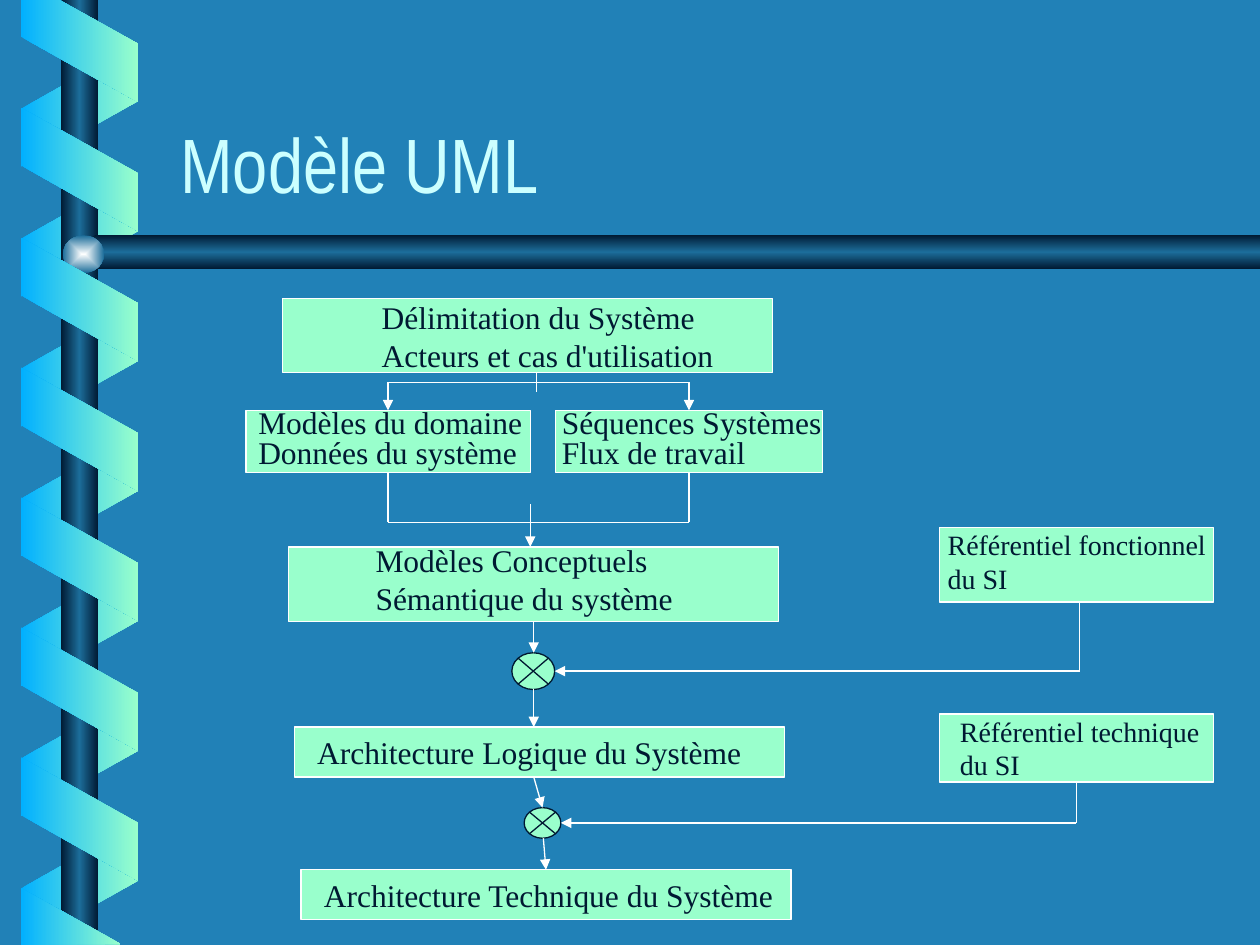
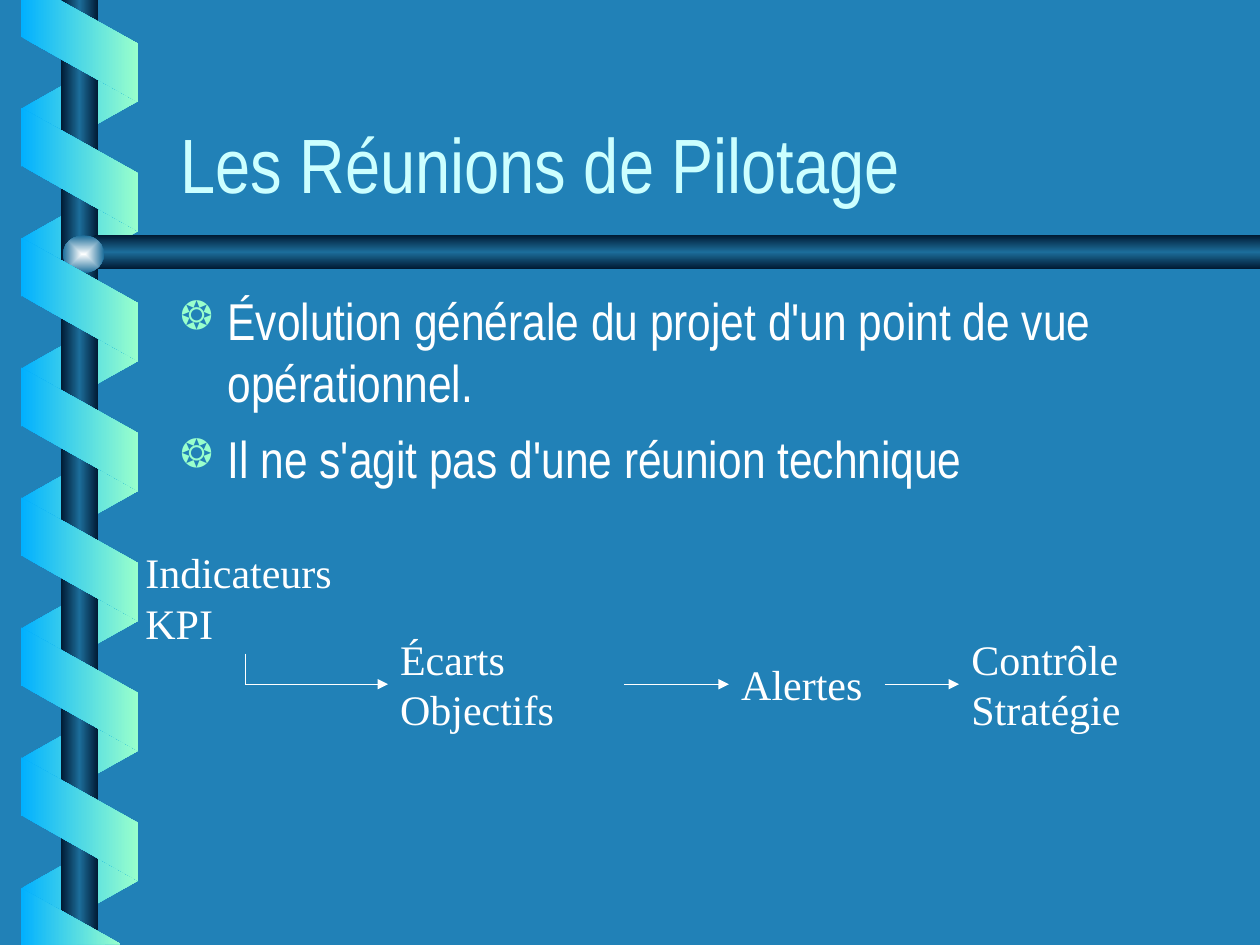
import pptx
import pptx.dml.color
import pptx.enum.shapes
import pptx.enum.text
import pptx.oxml
import pptx.oxml.ns
import pptx.util

Pt = pptx.util.Pt
RGB = pptx.dml.color.RGBColor
SHAPE = pptx.enum.shapes.MSO_SHAPE
ANCHOR = pptx.enum.text.MSO_ANCHOR
CENTER = pptx.enum.text.PP_ALIGN.CENTER
qn = pptx.oxml.ns.qn

BLUE = RGB(0x21, 0x81, 0xB7)
SKY = RGB(0x01, 0xB0, 0xFF)
MINT = RGB(0x99, 0xFF, 0xCC)
NAVY = RGB(0x00, 0x19, 0x32)
STEEL = RGB(0x1C, 0x6D, 0x9A)
ICE = RGB(0xCC, 0xFF, 0xFF)
PEARL = RGB(0xFE, 0xFF, 0xFF)
WHITE = RGB(0xFF, 0xFF, 0xFF)
HEAD = "Arial Narrow"
BODY = "Times New Roman"

# Content of the model slide: boxes, labels, junctions and links
MODEL = "Modèle UML"
BOXES = [
    (161.5, 170.5, 280, 42.5),
    (165, 312.5, 280, 42.5),
    (168.5, 415.5, 280, 28.5),
    (172, 497, 280, 28.5),
    (140.5, 234.5, 162.5, 35.5),
    (317.5, 234.5, 152.5, 35.5),
    (537, 408, 156.5, 39),
    (537, 301.5, 156.5, 42.5),
]
LABELS = [
    ((211, 167, 204, 50.5), ["Délimitation du Système", "Acteurs et cas d'utilisation"],
     {"wrap": False}),
    ((314, 231, 166.5, 42), ["Séquences Systèmes", "Flux de travail"], {"lead": 0.8}),
    ((140.5, 231, 166.5, 42), ["Modèles du domaine", "Données du système"], {"lead": 0.8}),
    ((207.5, 305.5, 184.5, 50.5), ["Modèles Conceptuels", "Sémantique du système"], {}),
    ((534.5, 298, 165.5, 46), ["Référentiel fonctionnel", "du SI"],
     {"size": 16, "wrap": False}),
    ((172, 415.5, 265.5, 29), ["Architecture Logique du Système "], {"align": CENTER}),
    ((541.5, 404.5, 155, 46), ["Référentiel technique", "du SI"],
     {"size": 16, "wrap": False}),
    ((172, 497, 287.5, 29), ["Architecture Technique du Système "], {"align": CENTER}),
]
JOINTS = [(292.5, 373, 24.5, 21), (299.5, 461.5, 21, 17.5)]
# Points of each link, arrow at its start, arrow at its end
LINKS = [
    ([(221.75, 234.5), (221.75, 218.5), (393.75, 218.5), (393.75, 234.5)], True, True),
    ([(306.75, 213), (306.75, 224)], False, False),
    ([(221.75, 270), (221.75, 298.5), (393.75, 298.5), (393.75, 270)], False, False),
    ([(303, 284.5), (303, 284.5)], False, True),
    ([(303, 288), (303, 312.5)], False, True),
    ([(617, 344), (617, 383.5), (317, 383.5)], False, True),
    ([(305, 355), (305, 373)], False, True),
    ([(305, 394), (305, 415.5)], False, True),
    ([(615, 447), (615, 470.25), (320.5, 470.25)], False, True),
    ([(305, 444), (310, 461.5)], False, True),
    ([(310.5, 479), (312, 497)], False, True),
]

# Content of the meeting slide
MEET = "Les Réunions de Pilotage"
POINTS = [
    "Évolution générale du projet d'un point de vue opérationnel.",
    "Il ne s'agit pas d'une réunion technique",
]
STEPS = [
    ((76, 309, 127.5, 65), "Indicateurs KPI"),
    ((221.5, 358.5, 135, 65), "Écarts Objectifs"),
    ((416.5, 373, 88.5, 36), "Alertes"),
    ((548, 358.5, 155.5, 65), "Contrôle Stratégie"),
]
FLOW = [
    [(140.25, 373.5), (140.25, 391), (221.75, 391)],
    [(356.5, 391), (416.5, 391)],
    [(505.5, 391), (548, 391)],
]

# Ribbon that winds round the left post
LEFT, RIGHT = 12, 78.75
PITCH, TALL, SLANT = 74.25, 70.5, 37.5
BACK, FRONT = 24.75, 61.5


def add(tag, home, **attrs):
    node = pptx.oxml.parse_xml(f'<{tag} {pptx.oxml.ns.nsdecls("a")}/>')
    for key, val in attrs.items():
        node.set(key, str(val))
    home.append(node)
    return node


def shade(shape, *cols, turn=0, core=False):
    """Fill with evenly spaced colours, along an angle or out from the core."""
    shape.shadow.inherit = False
    shape.line.fill.background()
    shape.fill.gradient()
    grad = shape.element.spPr.find(qn("a:gradFill"))
    for node in list(grad):
        grad.remove(node)
    stops = add("a:gsLst", grad)
    for i, col in enumerate(cols):
        stop = add("a:gs", stops, pos=100000 * i // (len(cols) - 1))
        add("a:srgbClr", stop, val=col)
    if core:
        ring = add("a:path", grad, path="rect")
        add("a:fillToRect", ring, l=50000, t=50000, r=50000, b=50000)
    else:
        add("a:lin", grad, ang=turn * 60000, scaled=0)


def form(slide, kind, box):
    return slide.shapes.add_shape(kind, *map(Pt, box))


def trace(slide, spots):
    first, *rest = [(Pt(x), Pt(y)) for x, y in spots]
    pen = slide.shapes.build_freeform(*first)
    pen.add_line_segments(rest, close=True)
    return pen.convert_to_shape()


def block(slide, kind, box, edge):
    shape = form(slide, kind, box)
    shape.shadow.inherit = False
    shape.fill.solid()
    shape.fill.fore_color.rgb = MINT
    shape.line.color.rgb = edge
    shape.line.width = Pt(0.75)


def write(slide, box, lines, size=18, face=BODY, color=NAVY, align=None,
          lead=None, wrap=True, anchor=ANCHOR.TOP, gap=0, mark=None):
    frame = slide.shapes.add_textbox(*map(Pt, box)).text_frame
    frame.word_wrap = wrap
    frame.vertical_anchor = anchor
    for i, line in enumerate(lines):
        para = frame.add_paragraph() if i else frame.paragraphs[0]
        para.text = line
        para.alignment = align
        if lead:
            para.line_spacing = lead
        if i and gap:
            para.space_before = Pt(gap)
        if mark:
            props = para._p.get_or_add_pPr()
            props.set("marL", str(Pt(27)))
            props.set("indent", str(-Pt(27)))
            add("a:srgbClr", add("a:buClr", props), val=MINT)
            add("a:buSzPct", props, val=75000)
            add("a:buChar", props, char=mark)
        font = para.font
        font.size = Pt(size)
        font.name = face
        font.color.rgb = color


def link(slide, spots, start=False, end=True):
    """Draw a line through the spots, with arrowheads where asked."""
    last = len(spots) - 2
    for i, (here, there) in enumerate(zip(spots, spots[1:])):
        wire = slide.shapes.add_connector(
            pptx.enum.shapes.MSO_CONNECTOR.STRAIGHT, *map(Pt, here + there))
        wire.line.color.rgb = WHITE
        wire.line.width = Pt(0.75)
        props = wire.element.spPr
        add("a:effectLst", props)
        pen = props.find(qn("a:ln"))
        if start and i == 0:
            add("a:headEnd", pen, type="triangle")
        if end and i == last:
            add("a:tailEnd", pen, type="triangle")


def coil(slide, top, left, right):
    """Draw one ribbon turn; left and right are the drops of its two ends."""
    side = TALL - SLANT
    spots = [(LEFT, top + left), (RIGHT, top + right),
             (RIGHT, top + right + side), (LEFT, top + left + side)]
    shade(trace(slide, spots), SKY, MINT)


def base(deck, title):
    """Add a slide with the shared ribbon, bars and title."""
    slide = deck.slides.add_slide(deck.slide_layouts[6])
    slide.background.fill.solid()
    slide.background.fill.fore_color.rgb = BLUE
    for i in range(7):
        coil(slide, BACK + i * PITCH, SLANT, 0)
    shade(form(slide, SHAPE.RECTANGLE, (34.75, 0, 21.5, 540)), NAVY, STEEL, NAVY)
    bar = [(720, 134.25), (54.75, 134.25), (43.25, 144), (54.75, 153.75), (720, 153.75)]
    shade(trace(slide, bar), NAVY, STEEL, NAVY, turn=90)
    shade(form(slide, SHAPE.OVAL, (36, 134.5, 23.5, 21.5)), PEARL, STEEL, core=True)
    for i in range(6):
        coil(slide, FRONT + i * PITCH, 0, SLANT)
    ends = [
        [(LEFT, 0), (LEFT, 21), (RIGHT, 58.25), (RIGHT, 25), (34, 0)],
        [(69, 539.5), (LEFT, 507.5), (LEFT, 540)],
    ]
    for spots in ends:
        shade(trace(slide, spots), SKY, MINT)
    write(slide, (96, 33, 612, 90), [title], size=44, face=HEAD, color=ICE,
          anchor=ANCHOR.BOTTOM)
    return slide


def model(deck):
    slide = base(deck, MODEL)
    for box in BOXES:
        block(slide, SHAPE.RECTANGLE, box, WHITE)
    for box, lines, style in LABELS:
        write(slide, box, lines, **style)
    for box in JOINTS:
        block(slide, SHAPE.FLOWCHART_SUMMING_JUNCTION, box, NAVY)
    for spots, start, end in LINKS:
        link(slide, spots, start, end)


def meet(deck):
    slide = base(deck, MEET)
    write(slide, (96, 161.5, 612, 141), POINTS, size=29.6, face=HEAD, color=WHITE,
          gap=8, mark="❂")
    for box, step in STEPS:
        write(slide, box, [step], size=24, color=WHITE)
    for spots in FLOW:
        link(slide, spots)


def main():
    deck = pptx.Presentation()
    deck.slide_width, deck.slide_height = Pt(720), Pt(540)
    model(deck)
    meet(deck)
    deck.save("out.pptx")


if __name__ == "__main__":
    main()
